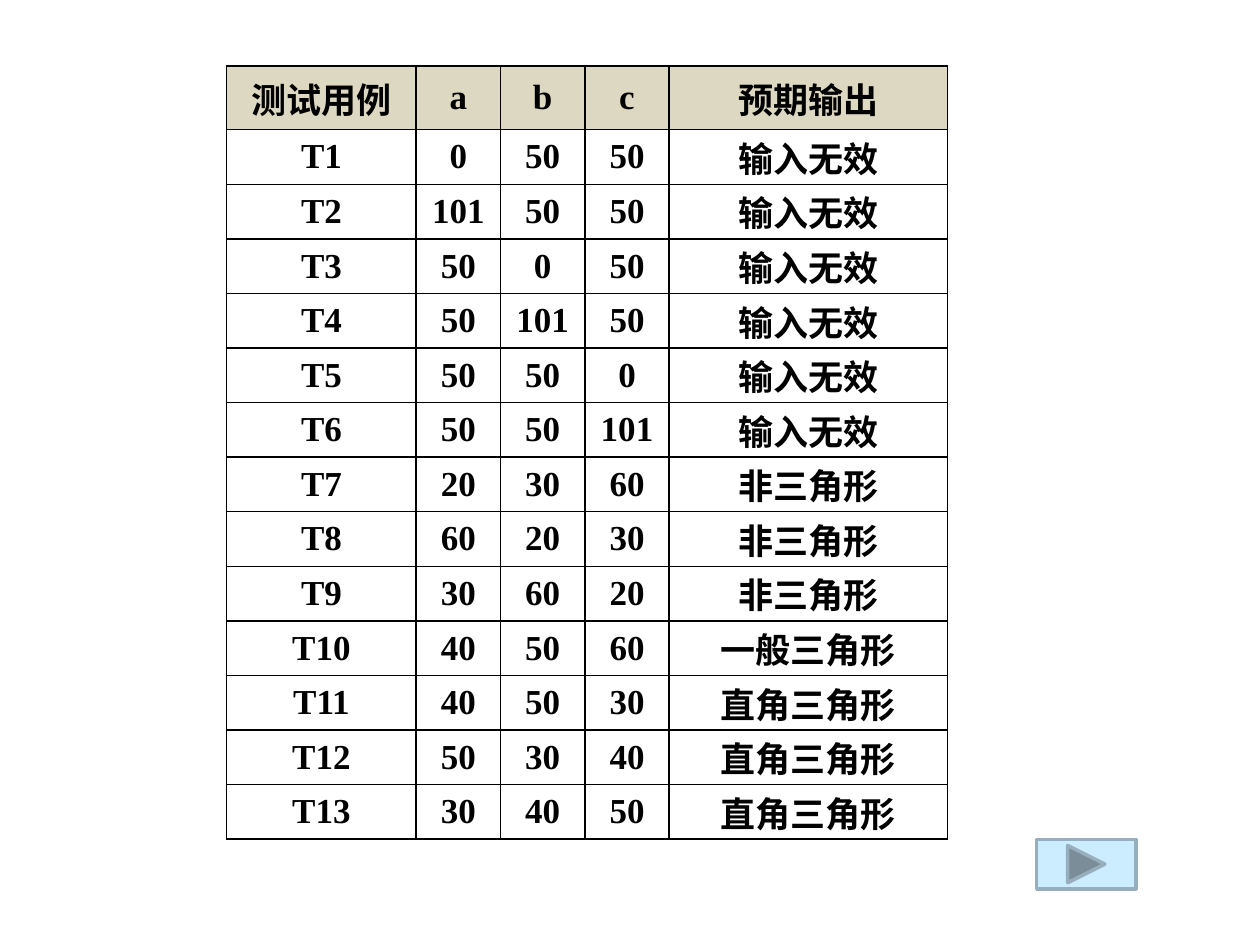
from dataclasses import dataclass

from lxml import etree
from pptx import Presentation
from pptx.dml.color import RGBColor
from pptx.enum.shapes import MSO_SHAPE
from pptx.enum.text import MSO_ANCHOR, PP_ALIGN
from pptx.oxml.ns import qn
from pptx.util import Cm, Pt

NEXT = MSO_SHAPE.ACTION_BUTTON_FORWARD_OR_NEXT
MIDDLE = MSO_ANCHOR.MIDDLE
CENTER = PP_ALIGN.CENTER


@dataclass
class Theme:
    font: str = "Times New Roman"
    size: int = 20
    ink: str = "000000"
    head: str = "DCD8C2"
    button: str = "CCECFF"
    edge: str = "97AFBD"
    rule: int = 1
    frame: int = 2


class Page:
    def __init__(self, slide, theme):
        self.slide = slide
        self.theme = theme

    def borders(self, cell):
        props = cell._tc.get_or_add_tcPr()
        for side in ("a:lnL", "a:lnR", "a:lnT", "a:lnB"):
            line = etree.SubElement(props, qn(side), w=str(Pt(self.theme.rule)))
            fill = etree.SubElement(line, qn("a:solidFill"))
            etree.SubElement(fill, qn("a:srgbClr"), val=self.theme.ink)

    def cell(self, cell, text, head, tight):
        self.borders(cell)
        if head:
            cell.fill.solid()
            cell.fill.fore_color.rgb = RGBColor.from_string(self.theme.head)
        else:
            cell.fill.background()
        cell.vertical_anchor = MIDDLE
        cell.margin_left = cell.margin_right = Cm(0 if tight else 0.25)
        cell.margin_top = cell.margin_bottom = Cm(0 if tight else 0.13)
        cell.text_frame.text = text
        para = cell.text_frame.paragraphs[0]
        para.alignment = CENTER
        font = para.runs[0].font
        font.name = self.theme.font
        font.size = Pt(self.theme.size)
        font.bold = True
        font.color.rgb = RGBColor.from_string(self.theme.ink)

    def table(self, left, top, widths, heights, rows):
        table = self.slide.shapes.add_table(
            len(rows), len(widths), Cm(left), Cm(top),
            Cm(sum(widths)), Cm(sum(heights))).table
        table.first_row = table.horz_banding = False
        for col, width in zip(table.columns, widths):
            col.width = Cm(width)
        for row, height in zip(table.rows, heights):
            row.height = Cm(height)
        for r, row in enumerate(rows):
            for c, text in enumerate(row):
                self.cell(table.cell(r, c), text, r == 0, r > 0 and c > 0)

    def button(self, left, top, width, height):
        shape = self.slide.shapes.add_shape(
            NEXT, Cm(left), Cm(top), Cm(width), Cm(height))
        shape.shadow.inherit = False
        shape.fill.solid()
        shape.fill.fore_color.rgb = RGBColor.from_string(self.theme.button)
        shape.line.color.rgb = RGBColor.from_string(self.theme.edge)
        shape.line.width = Pt(self.theme.frame)


# Test cases: sides a, b, c and the expected result
INVALID, NONE, PLAIN, RIGHT = "输入无效", "非三角形", "一般三角形", "直角三角形"
CASES = [
    (0, 50, 50, INVALID),
    (101, 50, 50, INVALID),
    (50, 0, 50, INVALID),
    (50, 101, 50, INVALID),
    (50, 50, 0, INVALID),
    (50, 50, 101, INVALID),
    (20, 30, 60, NONE),
    (60, 20, 30, NONE),
    (30, 60, 20, NONE),
    (40, 50, 60, PLAIN),
    (40, 50, 30, RIGHT),
    (50, 30, 40, RIGHT),
    (30, 40, 50, RIGHT),
]
rows = [("测试用例", "a", "b", "c", "预期输出")]
rows += [(f"T{n}", *map(str, case)) for n, case in enumerate(CASES, 1)]

# Slide
deck = Presentation()
deck.slide_width, deck.slide_height = Cm(25.4), Cm(19.05)
page = Page(deck.slides.add_slide(deck.slide_layouts[6]), Theme())

# Table and next button
page.table(4.57, 1.33, [3.82] + [1.7] * 3 + [5.61],
           [1.27] + [1.1] * len(CASES), rows)
page.button(20.9, 16.92, 2.0, 1.0)

deck.save("out.pptx")
